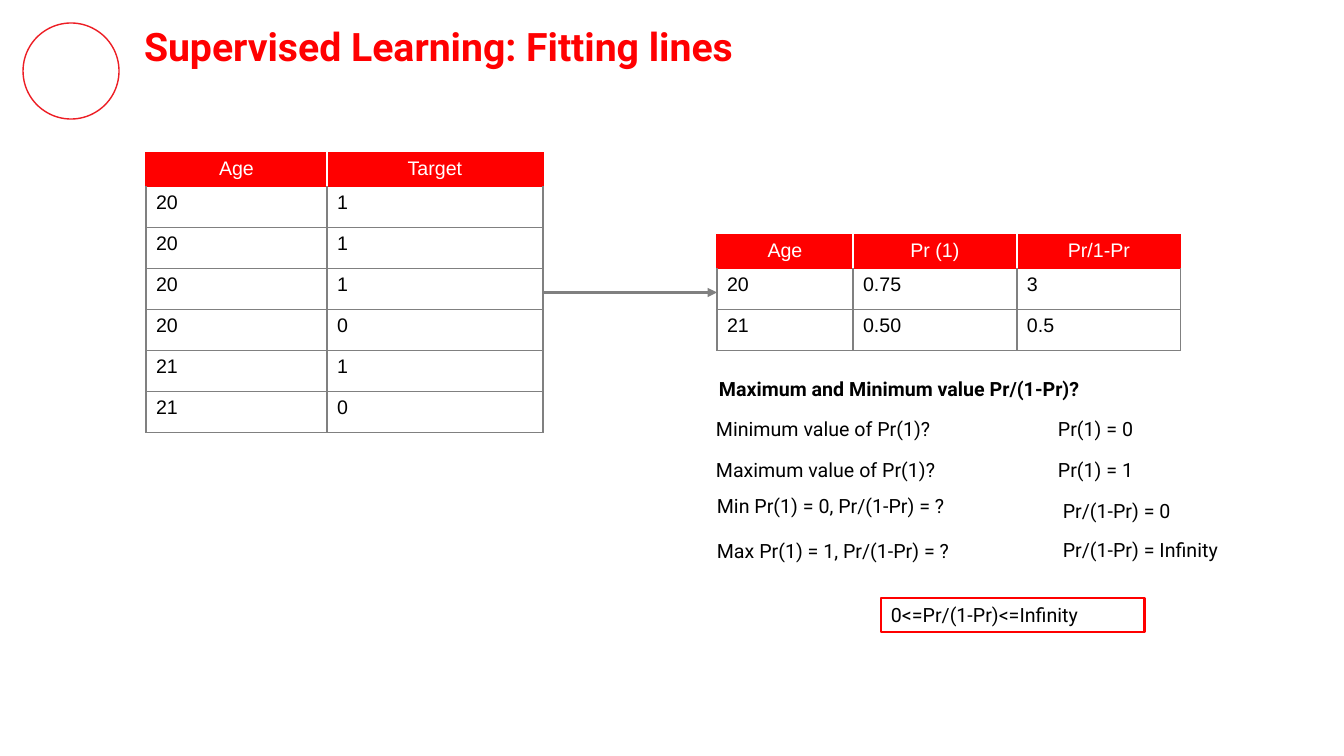
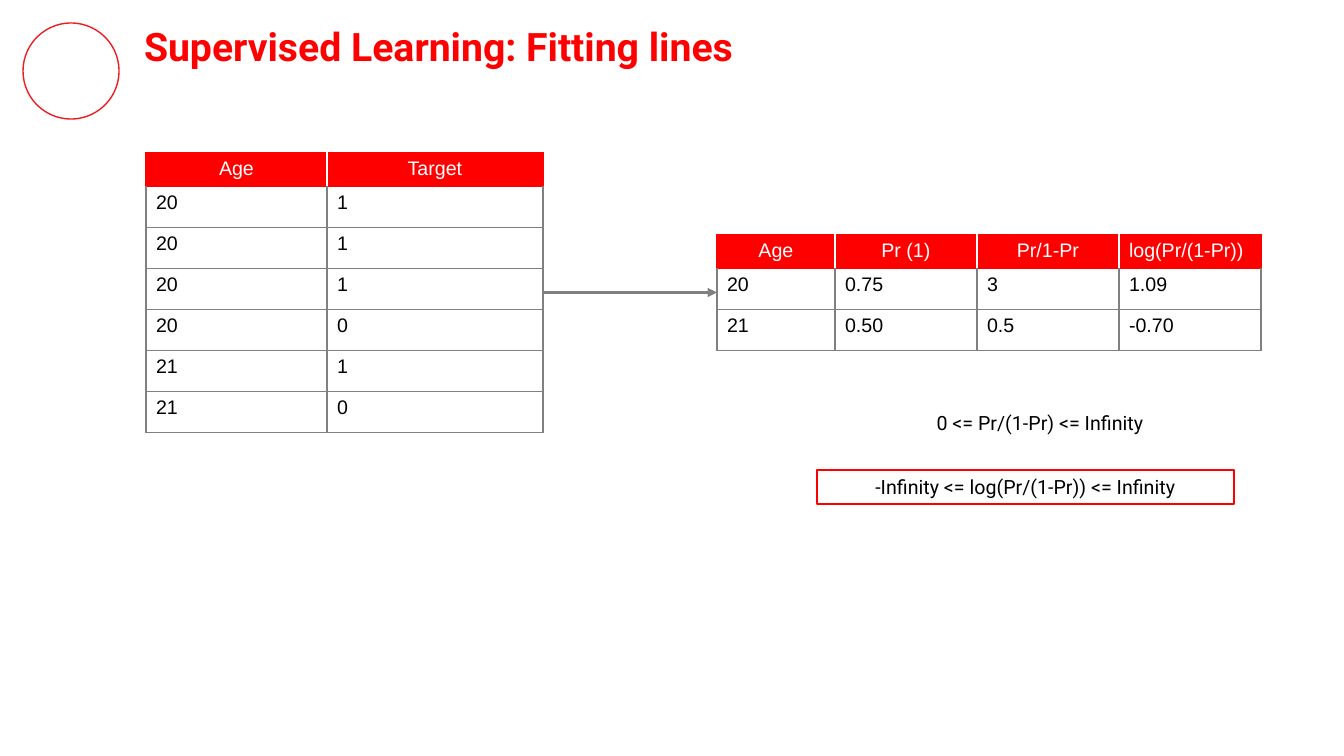
from dataclasses import dataclass

from lxml.etree import SubElement
from pptx import Presentation
from pptx.dml.color import RGBColor as RGB
from pptx.enum.shapes import MSO_CONNECTOR as CONN, MSO_SHAPE as SHAPE
from pptx.enum.text import MSO_ANCHOR as ANCHOR, PP_ALIGN as ALIGN
from pptx.oxml import parse_xml
from pptx.oxml.ns import nsdecls, qn
from pptx.util import Pt

PX = 914400 / 100.8  # EMU in one px


@dataclass(frozen=True)
class Theme:
    title: str = "FF0001"
    red: str = "FF0000"
    ring: str = "ED1D24"
    grey: str = "808080"
    white: str = "FFFFFF"
    black: str = "000000"
    head_font: str = "Roboto"
    cell_font: str = "Arial"
    title_size: int = 28
    body_size: int = 14


T = Theme()


def px(*lengths):
    return [round(n * PX) for n in lengths]


def write(tf, text, font=T.head_font, size=T.body_size, color=T.black,
          bold=False, align=ALIGN.LEFT):
    tf.word_wrap = True
    tf.vertical_anchor = ANCHOR.TOP
    p = tf.paragraphs[0]
    p.alignment = align
    r = p.add_run()
    r.text = text
    r.font.name, r.font.size, r.font.bold = font, Pt(size), bold
    r.font.color.rgb = RGB.from_string(color)


# Content: rows of each table, then the texts and the framed result
HEAD_H, ROW_H = 33, 41
BOX_H = 34
target_rows = [("Age", "Target"), ("20", "1"), ("20", "1"), ("20", "1"),
               ("20", "0"), ("21", "1"), ("21", "0")]
odds_rows = [("Age", "Pr (1)", "Pr/1-Pr"), ("20", "0.75", "3"), ("21", "0.50", "0.5")]
log_column = ("log(Pr/(1-Pr))", "1.09", "-0.70")
log_rows = [row + (extra,) for row, extra in zip(odds_rows, log_column)]

# Each text: words, left, top, width, format
slides = [
    dict(rows=odds_rows, widths=(136, 164, 164),
         texts=[
             ("Maximum and Minimum value Pr/(1-Pr)?", 709, 372, 526, dict(bold=True)),
             ("Minimum value of Pr(1)?", 706, 412, 317, {}),
             ("Pr(1) = 0", 1048, 412, 111, {}),
             ("Maximum value of Pr(1)?", 706, 453, 317, {}),
             ("Pr(1) = 1", 1048, 453, 111, {}),
             ("Min Pr(1) = 0, Pr/(1-Pr) = ?", 707, 489, 339, {}),
             ("Max Pr(1) = 1, Pr/(1-Pr) = ?", 707, 534, 339, {}),
             ("Pr/(1-Pr) = 0", 1053, 494, 187, {}),
             ("Pr/(1-Pr) = Infinity", 1053, 533, 234, {}),
         ],
         result=("0<=Pr/(1-Pr)<=Infinity", 881, 598, 264, {})),
    dict(rows=log_rows, widths=(118, 142, 142, 142),
         texts=[("0 <= Pr/(1-Pr) <= Infinity", 882, 406, 316, dict(align=ALIGN.CENTER))],
         result=("-Infinity <= log(Pr/(1-Pr)) <= Infinity", 817, 470, 417,
                 dict(align=ALIGN.CENTER))),
]

prs = Presentation()
prs.slide_width, prs.slide_height = px(1344, 756)

for content in slides:
    s = prs.slides.add_slide(prs.slide_layouts[6])

    # Ring and title
    sp = s.shapes.add_shape(SHAPE.OVAL, *px(23, 23, 96, 96))
    sp.shadow.inherit = False
    sp.fill.background()
    sp.line.color.rgb = RGB.from_string(T.ring)
    sp.line.width = Pt(1)

    tf = s.shapes.add_textbox(*px(134, 12, 1127, 68)).text_frame
    tf.margin_top = tf.margin_bottom = tf.margin_left = tf.margin_right = px(10)[0]
    write(tf, "Supervised Learning: Fitting lines", size=T.title_size,
          color=T.title, bold=True)

    # Tables
    frames = []
    for rows, widths, x, y in [(target_rows, (181, 216), 146, 153),
                               (content["rows"], content["widths"], 717, 235)]:
        height = HEAD_H + ROW_H * (len(rows) - 1)
        frame = s.shapes.add_table(len(rows), len(widths),
                                   *px(x, y, sum(widths), height))
        frames.append(frame)
        table = frame.table
        table.first_row = table.horz_banding = False
        for column, width in zip(table.columns, px(*widths)):
            column.width = width
        last = len(widths) - 1
        for i, row in enumerate(rows):
            head = i == 0
            table.rows[i].height = px(HEAD_H if head else ROW_H)[0]
            for j, text in enumerate(row):
                cell = table.cell(i, j)
                cell.fill.solid()
                cell.fill.fore_color.rgb = RGB.from_string(T.red if head else T.white)
                centred = head and text != log_column[0]
                write(cell.text_frame, text, font=T.cell_font,
                      color=T.white if head else T.black,
                      align=ALIGN.CENTER if centred else ALIGN.LEFT)
                if head:
                    borders = dict(L=T.white if j else T.red,
                                   R=T.white if j < last else T.red,
                                   T=T.red, B=T.red)
                else:
                    borders = dict(L=T.grey, R=T.grey,
                                   T=T.red if i == 1 else T.grey, B=T.grey)
                for k, (side, color) in enumerate(borders.items()):
                    cell._tc.get_or_add_tcPr().insert(k, parse_xml(
                        f'<a:ln{side} {nsdecls("a")} w="{Pt(1)}"><a:solidFill>'
                        f'<a:srgbClr val="{color}"/></a:solidFill></a:ln{side}>'))

    # Arrow between the tables
    arrow = s.shapes.add_connector(CONN.STRAIGHT, *px(543, 292, 717, 292))
    arrow.begin_connect(frames[0], 3)
    arrow.end_connect(frames[1], 1)
    arrow.line.color.rgb = RGB.from_string(T.grey)
    arrow.line.width = Pt(2.25)
    SubElement(arrow.line._get_or_add_ln(), qn("a:tailEnd"), type="triangle")
    SubElement(arrow._element.spPr, qn("a:effectLst"))

    # Questions and answers
    for text, x, y, width, style in content["texts"]:
        write(s.shapes.add_textbox(*px(x, y, width, BOX_H)).text_frame, text, **style)

    # Framed result
    text, x, y, width, style = content["result"]
    sp = s.shapes.add_shape(SHAPE.RECTANGLE, *px(x, y, width, BOX_H))
    sp.shadow.inherit = False
    sp.fill.solid()
    sp.fill.fore_color.rgb = RGB.from_string(T.white)
    sp.line.color.rgb = RGB.from_string(T.red)
    sp.line.width = Pt(2)
    write(sp.text_frame, text, **style)

prs.save("out.pptx")
